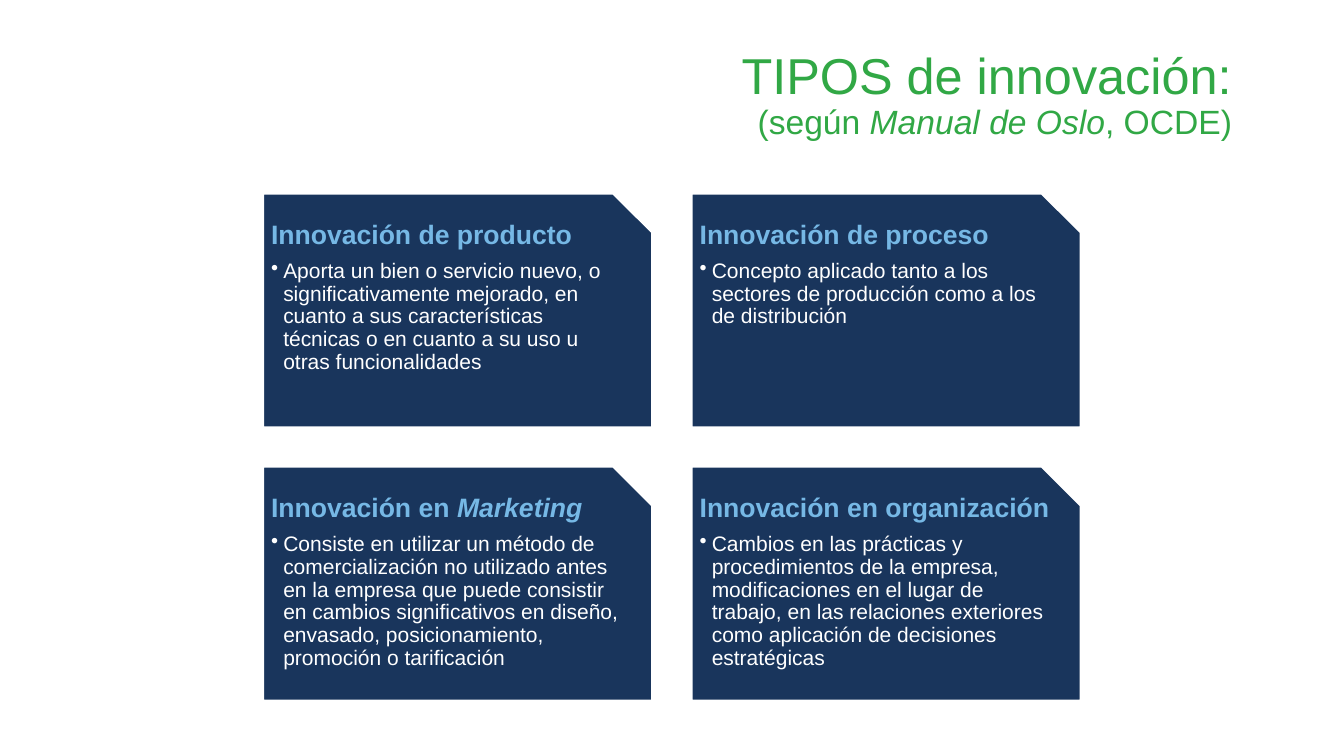
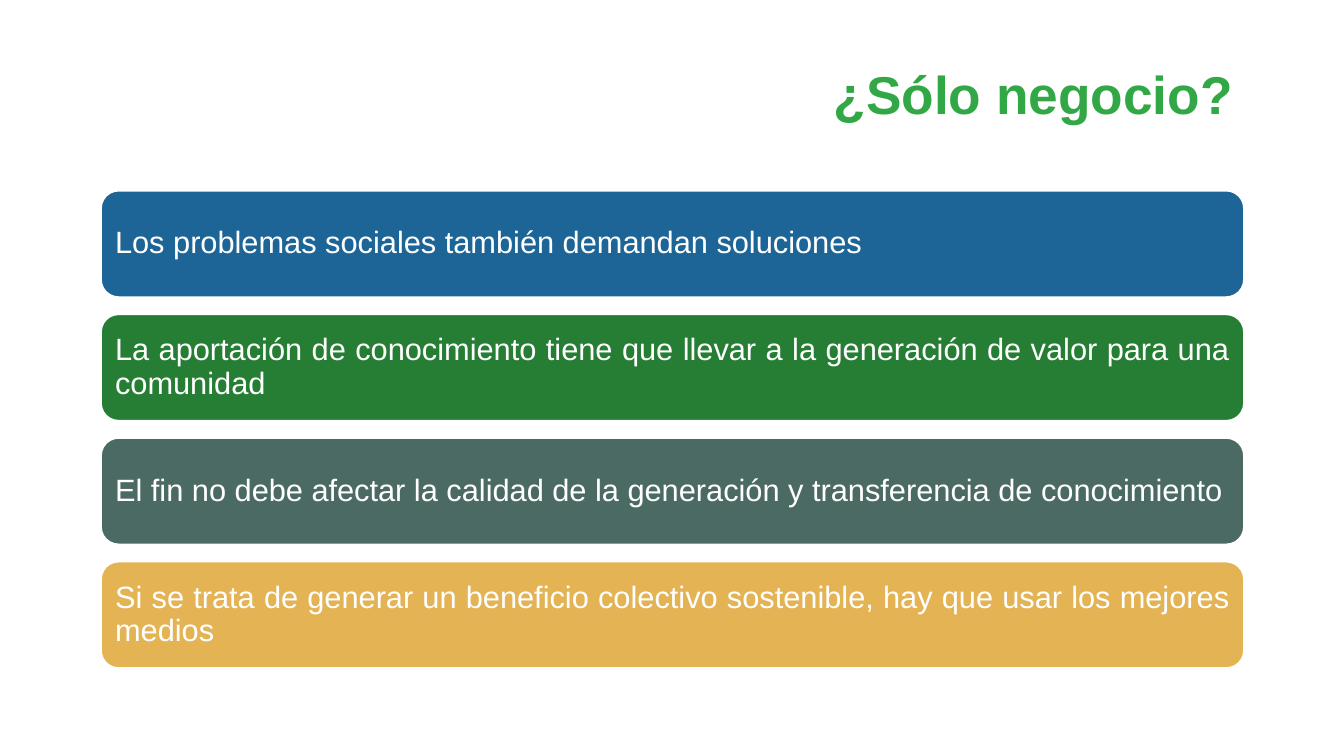
from dataclasses import dataclass

from lxml import etree
from pptx import Presentation
from pptx.dml.color import RGBColor
from pptx.enum import shapes, text
from pptx.oxml import ns
from pptx.util import Inches, Pt


@dataclass(frozen=True)
class Theme:
    font: str = "Arial"
    white: str = "FFFFFF"
    title: str = "31A845"
    card: str = "19355C"
    card_heading: str = "76B8E5"
    bands: tuple = ("1D6596", "257E34", "4C6A64", "E4B354")
    title_size: int = 36
    subtitle_size: int = 24
    question_size: int = 38
    heading_size: int = 19
    body_size: int = 15
    band_size: int = 22
    outline: float = 1.5
    line_spacing: float = 0.9


THEME = Theme()
TITLE_ONLY = 5

# Each heading is a list of (words, italic) pieces.
INNOVATION_TYPES = [
    ([("Innovación de producto", False)],
     "Aporta un bien o servicio nuevo, o significativamente mejorado, en cuanto "
     "a sus características técnicas o en cuanto a su uso u otras funcionalidades"),
    ([("Innovación de proceso", False)],
     "Concepto aplicado tanto a los sectores de producción como a los de "
     "distribución"),
    ([("Innovación en ", False), ("Marketing", True)],
     "Consiste en utilizar un método de comercialización no utilizado antes en "
     "la empresa que puede consistir en cambios significativos en diseño, "
     "envasado, posicionamiento, promoción o tarificación"),
    ([("Innovación en organización", False)],
     "Cambios en las prácticas y procedimientos de la empresa, modificaciones "
     "en el lugar de trabajo, en las relaciones exteriores como aplicación de "
     "decisiones estratégicas"),
]

STATEMENTS = [
    "Los problemas sociales también demandan soluciones",
    "La aportación de conocimiento tiene que llevar a la generación de valor "
    "para una comunidad",
    "El fin no debe afectar la calidad de la generación y transferencia de "
    "conocimiento",
    "Si se trata de generar un beneficio colectivo sostenible, hay que usar los "
    "mejores medios",
]


def format_paragraph(paragraph, size, color, align=text.PP_ALIGN.LEFT, bold=False):
    paragraph.alignment = align
    paragraph.line_spacing = THEME.line_spacing
    font = paragraph.font
    font.name = THEME.font
    font.size = Pt(size)
    font.bold = bold
    font.color.rgb = RGBColor.from_string(color)


def add_pieces(paragraph, pieces, size=None):
    """Add (words, italic) pieces as runs, with an optional size of their own."""
    for words, italic in pieces:
        run = paragraph.add_run()
        run.text = words
        if italic:
            run.font.italic = True
        if size:
            run.font.size = Pt(size)


def add_bullet(paragraph, indent):
    properties = paragraph._p.get_or_add_pPr()
    properties.set("marL", str(indent))
    properties.set("indent", str(-indent))
    etree.SubElement(properties, ns.qn("a:buChar")).set("char", "•")


def add_titled_slide(prs, box, size, bold=False):
    """Add a slide and return it with its formatted, still empty title paragraph."""
    slide = prs.slides.add_slide(prs.slide_layouts[TITLE_ONLY])
    title = slide.shapes.title
    title.left, title.top, title.width, title.height = map(Inches, box)
    frame = title.text_frame
    frame.word_wrap = True
    frame.auto_size = text.MSO_AUTO_SIZE.NONE
    frame.vertical_anchor = text.MSO_ANCHOR.MIDDLE
    paragraph = frame.paragraphs[0]
    format_paragraph(paragraph, size, THEME.title, text.PP_ALIGN.RIGHT, bold)
    return slide, paragraph


def add_panel(slide, preset, box, fill, inset, anchor):
    """Add a filled, white-edged shape and return its text frame."""
    panel = slide.shapes.add_shape(preset, *map(Inches, box))
    panel.shadow.inherit = False
    panel.fill.solid()
    panel.fill.fore_color.rgb = RGBColor.from_string(fill)
    panel.line.color.rgb = RGBColor.from_string(THEME.white)
    panel.line.width = Pt(THEME.outline)
    frame = panel.text_frame
    frame.word_wrap = True
    frame.vertical_anchor = anchor
    frame.margin_left = frame.margin_right = Inches(inset)
    frame.margin_top = frame.margin_bottom = Inches(inset)
    return frame


def add_card(slide, box, heading, description):
    frame = add_panel(slide, shapes.MSO_SHAPE.SNIP_1_RECTANGLE, box, THEME.card,
                      0.08, text.MSO_ANCHOR.TOP)
    top = frame.paragraphs[0]
    format_paragraph(top, THEME.heading_size, THEME.card_heading, bold=True)
    top.space_after = Pt(7.5)
    add_pieces(top, heading)

    body = frame.add_paragraph()
    add_bullet(body, Inches(0.12))
    format_paragraph(body, THEME.body_size, THEME.white)
    body.add_run().text = description


def add_band(slide, box, fill, statement):
    frame = add_panel(slide, shapes.MSO_SHAPE.ROUNDED_RECTANGLE, box, fill,
                      0.09, text.MSO_ANCHOR.MIDDLE)
    paragraph = frame.paragraphs[0]
    format_paragraph(paragraph, THEME.band_size, THEME.white, text.PP_ALIGN.JUSTIFY)
    paragraph.add_run().text = statement


def build_types_slide(prs):
    slide, title = add_titled_slide(prs, (3.53, 0.33, 8.79, 1.25), THEME.title_size)
    add_pieces(title, [("TIPOS de innovación:", False)])
    title.add_line_break()
    add_pieces(title, [("(según ", False), ("Manual de Oslo", True),
                       (", OCDE)", False)], THEME.subtitle_size)

    left, top, width, height, gap = 2.61, 1.92, 3.86, 2.32, 0.39
    for index, (heading, description) in enumerate(INNOVATION_TYPES):
        row, column = divmod(index, 2)
        box = (left + column * (width + gap), top + row * (height + gap),
               width, height)
        add_card(slide, box, heading, description)


def build_business_slide(prs):
    slide, title = add_titled_slide(prs, (7.91, 0.42, 4.42, 1.09),
                                    THEME.question_size, bold=True)
    title.add_run().text = "¿Sólo negocio?"

    first_top, last_top = 1.89, 5.57
    pitch = (last_top - first_top) / (len(STATEMENTS) - 1)
    for index, (fill, statement) in enumerate(zip(THEME.bands, STATEMENTS)):
        add_band(slide, (1, first_top + index * pitch, 11.34, 1.06), fill, statement)


def main():
    prs = Presentation()
    prs.slide_width, prs.slide_height = Inches(13.33), Inches(7.5)
    build_types_slide(prs)
    build_business_slide(prs)
    prs.save("out.pptx")


if __name__ == "__main__":
    main()
